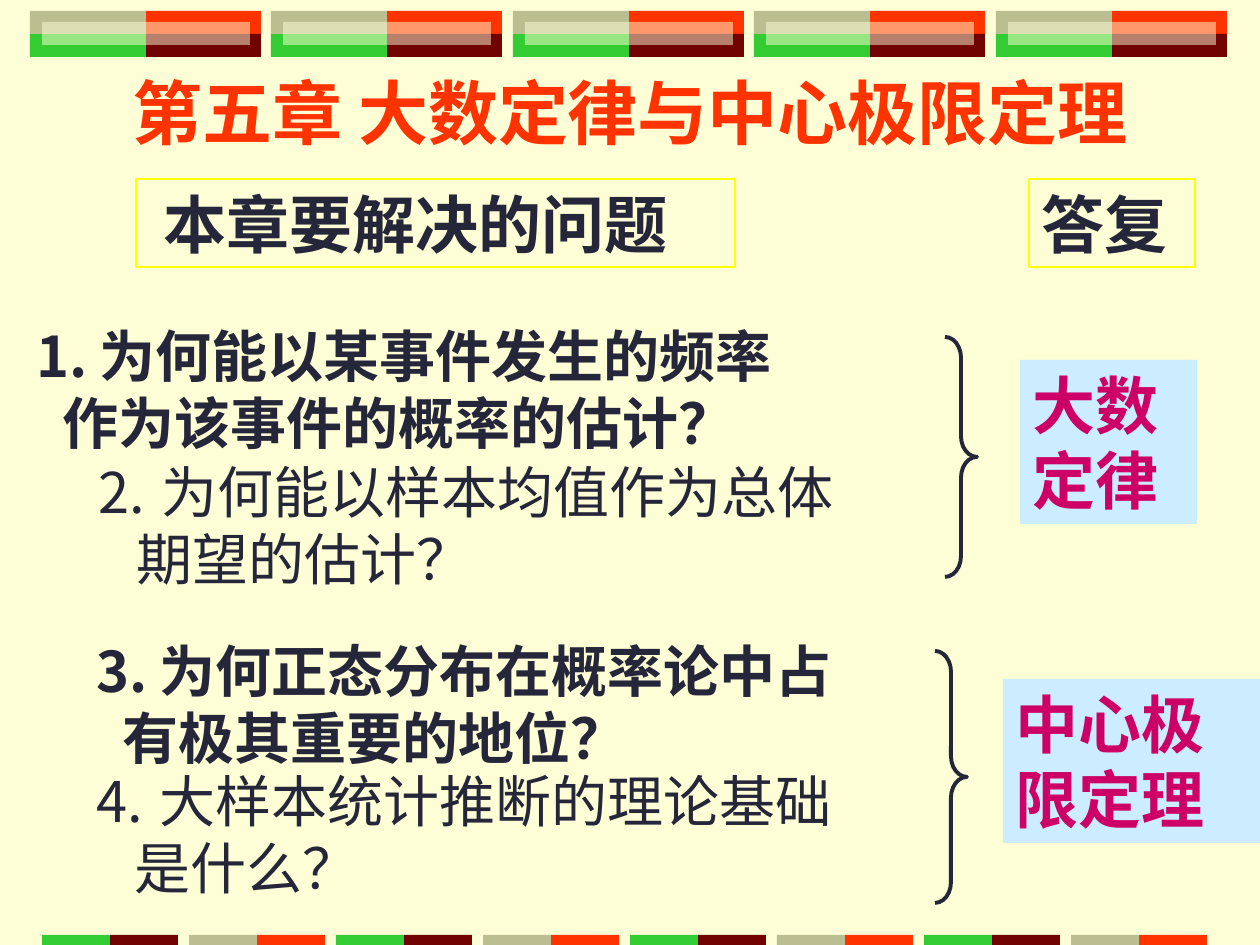
from lxml import etree
from pptx import Presentation
from pptx.dml.color import RGBColor
from pptx.enum.shapes import MSO_SHAPE
from pptx.enum.text import MSO_ANCHOR, PP_ALIGN
from pptx.oxml.ns import qn
from pptx.util import Emu, Pt

RECTANGLE = MSO_SHAPE.RECTANGLE
RIGHT_BRACE = MSO_SHAPE.RIGHT_BRACE
TOP = MSO_ANCHOR.TOP
LEFT = PP_ALIGN.LEFT
CENTER = PP_ALIGN.CENTER

FONT = "Noto Sans CJK SC"
CREAM = RGBColor(0xFE, 0xFE, 0xD6)
RED = RGBColor(0xFF, 0x33, 0x00)
MAROON = RGBColor(0x71, 0x03, 0x03)
GREEN = RGBColor(0x33, 0xCC, 0x33)
KHAKI = RGBColor(0xBA, 0xBE, 0x90)
YELLOW = RGBColor(0xFF, 0xFF, 0x00)
INK = RGBColor(0x26, 0x26, 0x3A)
SKY = RGBColor(0xCC, 0xEC, 0xFF)
MAGENTA = RGBColor(0xCC, 0x00, 0x66)

PX = 914400 / 126


def add_panel(box, kind=RECTANGLE, fill=None, line=None, width=0.75):
    panel = slide.shapes.add_shape(kind, *[Emu(round(v * PX)) for v in box])
    panel.shadow.inherit = False
    if fill is None:
        panel.fill.background()
    else:
        panel.fill.solid()
        panel.fill.fore_color.rgb = fill
    if line is None:
        panel.line.fill.background()
    else:
        panel.line.color.rgb = line
        panel.line.width = Pt(width)
    return panel


def write(frame, text, size=36, color=INK, bold=True, align=LEFT,
          indent=0, number=None, hang=0):
    frame.word_wrap = True
    frame.vertical_anchor = TOP
    frame.margin_left = frame.margin_right = Pt(7.2)
    frame.margin_top = frame.margin_bottom = Pt(3.6)
    for i, line in enumerate(text.split("\n")):
        paragraph = frame.paragraphs[0] if i == 0 else frame.add_paragraph()
        paragraph.alignment = align
        paragraph.line_spacing = Pt(size * 1.2)
        paragraph.space_before = Pt(0)
        properties = paragraph._p.get_or_add_pPr()
        numbered = number is not None and i == 0
        margin = 63 if numbered else hang if i else indent
        properties.set("marL", str(round(margin * PX)))
        properties.set("indent", str(round(-63 * PX) if numbered else 0))
        if numbered:
            etree.SubElement(properties, qn("a:buAutoNum"),
                             type="arabicPeriod", startAt=str(number))
        run = paragraph.add_run()
        run.text = line
        run.font.size = Pt(size)
        run.font.bold = bold
        run.font.color.rgb = color
        run.font.name = FONT
        etree.SubElement(run._r.get_or_add_rPr(), qn("a:ea"), typeface=FONT)


prs = Presentation()
prs.slide_width = Emu(round(1260 * PX))
prs.slide_height = Emu(round(945 * PX))
slide = prs.slides.add_slide(prs.slide_layouts[5])
slide.background.fill.solid()
slide.background.fill.fore_color.rgb = CREAM

for column in range(5):
    x = 30 + column * 483 // 2
    for dx, y, color in [(115, 11, RED), (115, 34, MAROON),
                         (0, 34, GREEN), (0, 11, KHAKI)]:
        add_panel((x + dx, y, 116, 23), fill=color)
    veil = add_panel((x + 12, 22, 208, 23), fill=CREAM)
    tint = veil.fill._xPr.find(".//" + qn("a:srgbClr"))
    etree.SubElement(tint, qn("a:alpha"), val="50000")

for column in range(8):
    x = 42 + column * 147
    left, right = (KHAKI, RED) if column % 2 else (GREEN, MAROON)
    add_panel((x + 68, 935, 68, 10), fill=right)
    add_panel((x, 935, 68, 10), fill=left)

chapter = slide.shapes.title
chapter.left, chapter.top = Emu(0), Emu(round(63 * PX))
chapter.width, chapter.height = prs.slide_width, Emu(round(97 * PX))
write(chapter.text_frame, "第五章 大数定律与中心极限定理",
      size=40, color=RED, align=CENTER)

for heading, x, width, indent in [("本章要解决的问题", 136, 599, 15),
                                  ("答复", 1029, 166, 0)]:
    panel = add_panel((x, 179, width, 88), line=YELLOW)
    write(panel.text_frame, heading, indent=indent)

questions = [
    ("为何能以某事件发生的频率\n作为该事件的概率的估计？", 24, 315, 880, True),
    ("为何能以样本均值作为总体\n期望的估计？", 86, 451, 761, False),
    ("为何正态分布在概率论中占\n有极其重要的地位？", 84, 630, 761, True),
    ("大样本统计推断的理论基础\n是什么？", 84, 760, 761, False),
]
for number, (question, x, y, width, bold) in enumerate(questions, 1):
    box = [Emu(round(v * PX)) for v in (x, y, width, 147)]
    write(slide.shapes.add_textbox(*box).text_frame, question, size=32,
          bold=bold, number=number, hang=26 if bold else 38)

for box in [(945, 337, 32, 240), (935, 651, 32, 252)]:
    brace = add_panel(box, kind=RIGHT_BRACE, line=INK, width=2.25)
    brace.adjustments[0] = 0.65

for answer, box in [("大数\n定律", (1020, 360, 177, 164)),
                    ("中心极\n限定理", (1003, 679, 257, 164))]:
    write(add_panel(box, fill=SKY).text_frame, answer, color=MAGENTA)

prs.save("out.pptx")
